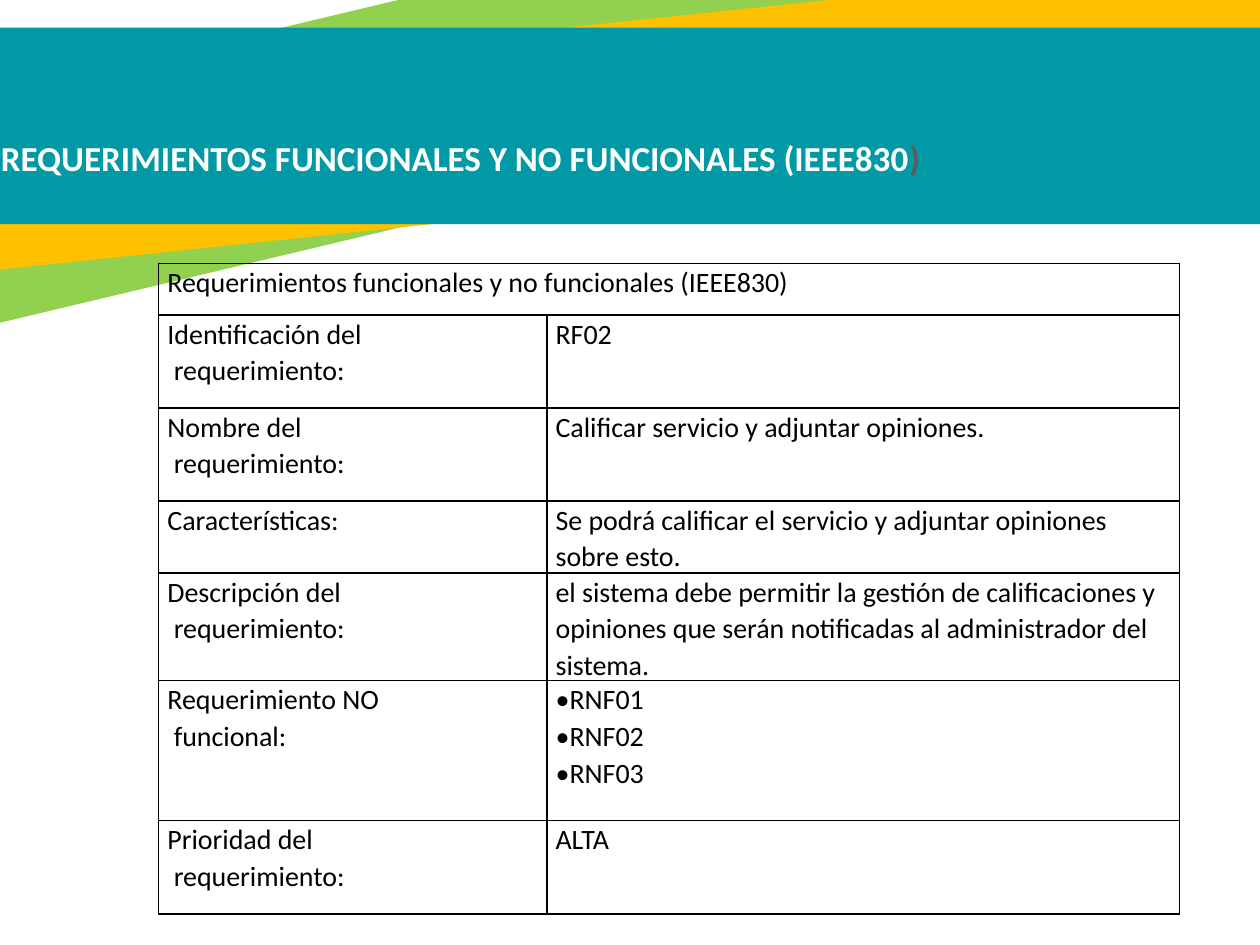
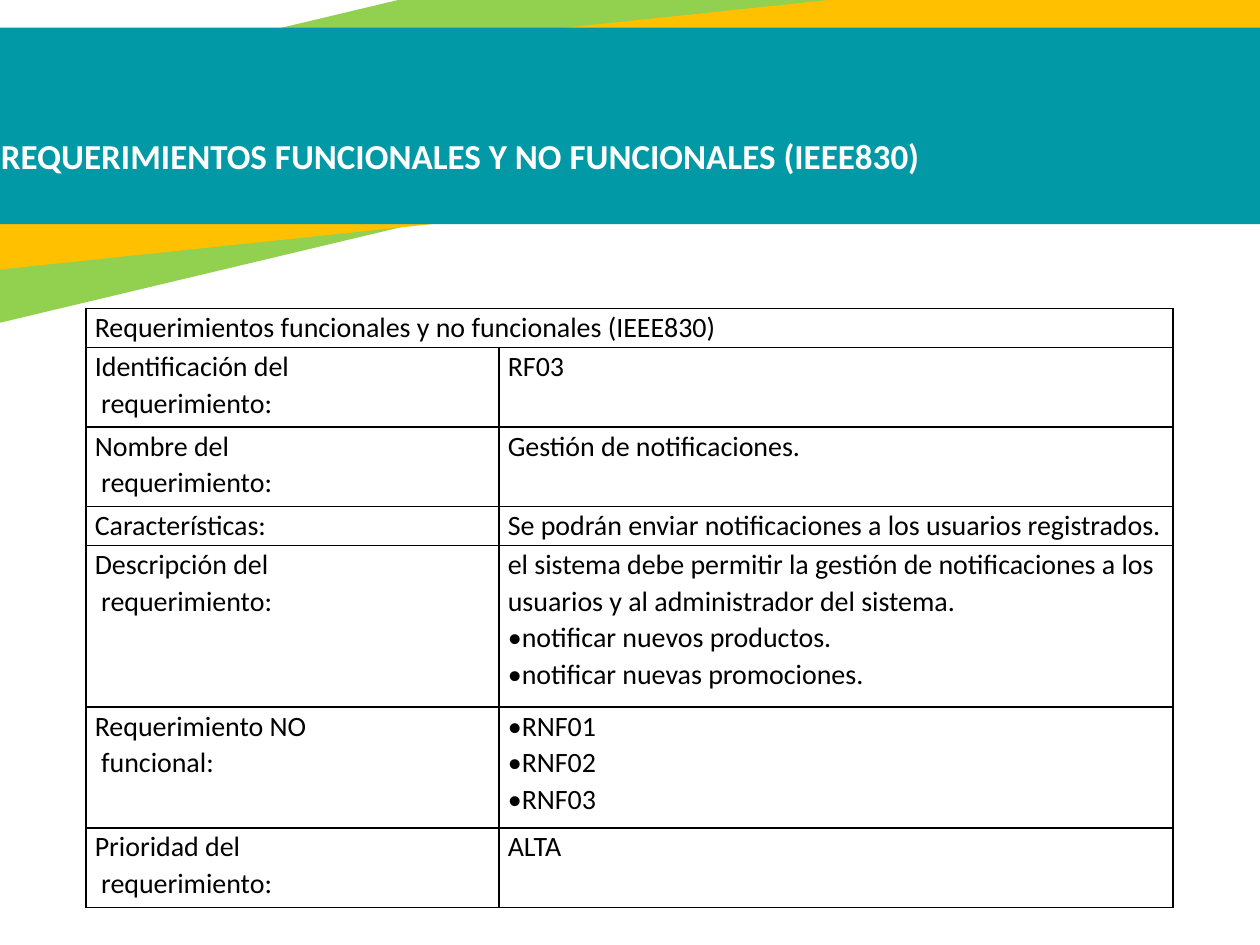
from lxml.etree import SubElement
from pptx import Presentation
from pptx.dml.color import RGBColor
from pptx.enum.shapes import MSO_SHAPE as Shape
from pptx.oxml.ns import qn
from pptx.util import Pt

TEAL, GREEN, AMBER = "0099A5", "92D050", "FFC000"
WHITE, BLACK, GREY = "FFFFFF", "000000", "5E5C5D"
TITLE_FORMAT = {"name": "Calibri", "size": Pt(20), "bold": True}
CELL_FORMAT = {"name": "Calibri", "size": Pt(16), "bold": False}
CELL_MARGINS = {"margin_left": Pt(5), "margin_right": Pt(5),
                "margin_top": 0, "margin_bottom": 0}
BULLET = "•"
BULLET_INDENT = Pt(8)

# left, top, width, height, rotation, colour
BANDS = [
    (-180.7, -13, 940.3, 126.7, 346.6, GREEN),
    (-79.2, 14.4, 837.4, 103.7, 354, AMBER),
    (-76.3, 15.8, 837.4, 112.3, 0, TEAL),
]

TITLE = "REQUERIMIENTOS FUNCIONALES Y NO FUNCIONALES (IEEE830"
TABLE_HEADING = "Requerimientos funcionales y no funcionales (IEEE830)"
LABELS = [
    ["Identificación del", " requerimiento:"],
    ["Nombre del", " requerimiento:"],
    ["Características:"],
    ["Descripción del", " requerimiento:"],
    ["Requerimiento NO", " funcional:"],
    ["Prioridad del", " requerimiento:"],
]
NON_FUNCTIONAL = ["•RNF01", "•RNF02", "•RNF03"]

REQUIREMENTS = [
    {
        "title_top": 74.2,
        "bracket_color": GREY,
        "table_at": (90.7, 150.5),
        "columns": (221.8, 361.4),
        "rows": (29.5, 53.2, 53.2, 26, 53.2, 80, 53.2),
        "values": [
            ["RF02"],
            ["Calificar servicio y adjuntar opiniones."],
            ["Se podrá calificar el servicio y adjuntar opiniones sobre esto."],
            ["el sistema debe permitir la gestión de calificaciones y opiniones "
             "que serán notificadas al administrador del sistema."],
            NON_FUNCTIONAL,
            ["ALTA"],
        ],
    },
    {
        "title_top": 73.2,
        "bracket_color": WHITE,
        "table_at": (49.2, 176.2),
        "columns": (236, 385.2),
        "rows": (22.3, 45.5, 45.5, 22.3, 92.3, 69, 45.5),
        "values": [
            ["RF03"],
            ["Gestión de notificaciones."],
            ["Se podrán enviar notificaciones a los usuarios registrados."],
            ["el sistema debe permitir la gestión de notificaciones a los "
             "usuarios y al administrador del sistema.",
             "•notificar nuevos productos.",
             "•notificar nuevas promociones."],
            NON_FUNCTIONAL,
            ["ALTA"],
        ],
    },
]


def rgb(color):
    return RGBColor.from_string(color)


def set_attributes(target, values):
    for name, value in values.items():
        setattr(target, name, value)


def add_run(paragraph, text, font_format, color):
    run = paragraph.add_run()
    run.text = text
    set_attributes(run.font, font_format)
    run.font.color.rgb = rgb(color)


def add_bands(slide):
    for left, top, width, height, rotation, color in BANDS:
        band = slide.shapes.add_shape(
            Shape.RECTANGLE, Pt(left), Pt(top), Pt(width), Pt(height))
        band.rotation = rotation
        band.shadow.inherit = False
        band.fill.solid()
        band.fill.fore_color.rgb = rgb(color)
        band.line.fill.background()


def add_title(slide, top, bracket_color):
    title = slide.shapes.add_textbox(Pt(-6.5), Pt(top), Pt(583.2), Pt(31.7))
    title.text_frame.word_wrap = True
    paragraph = title.text_frame.paragraphs[0]
    add_run(paragraph, TITLE, TITLE_FORMAT, WHITE)
    add_run(paragraph, ")", TITLE_FORMAT, bracket_color)


def add_bullet(paragraph):
    properties = paragraph._p.get_or_add_pPr()
    properties.set("marL", str(BULLET_INDENT))
    properties.set("indent", str(-BULLET_INDENT))
    SubElement(properties, qn("a:buFont"), typeface="Calibri")
    SubElement(properties, qn("a:buChar"), char=BULLET)


def format_cell(cell):
    """Give the cell its margins, thin black borders and no fill."""
    set_attributes(cell, CELL_MARGINS)
    properties = cell._tc.get_or_add_tcPr()
    for side in ("a:lnL", "a:lnR", "a:lnT", "a:lnB"):
        line = SubElement(properties, qn(side), w=str(Pt(1)))
        fill = SubElement(line, qn("a:solidFill"))
        SubElement(fill, qn("a:srgbClr"), val=BLACK)
    cell.fill.background()


def write_cell(cell, lines):
    """Write one paragraph a line; a leading bullet sign makes a list item."""
    frame = cell.text_frame
    for index, line in enumerate(lines):
        paragraph = frame.add_paragraph() if index else frame.paragraphs[0]
        paragraph.line_spacing = 1.07
        if line.startswith(BULLET):
            add_bullet(paragraph)
        add_run(paragraph, line.removeprefix(BULLET), CELL_FORMAT, BLACK)


def add_requirement_table(slide, position, columns, rows, values):
    left, top = position
    table = slide.shapes.add_table(
        len(rows), len(columns), Pt(left), Pt(top),
        Pt(sum(columns)), Pt(sum(rows))).table
    set_attributes(table, {"first_row": False, "horz_banding": False})
    for column, width in zip(table.columns, columns):
        column.width = Pt(width)
    for row, height in zip(table.rows, rows):
        row.height = Pt(height)
        for cell in row.cells:
            format_cell(cell)

    heading = table.cell(0, 0)
    heading.merge(table.cell(0, 1))
    write_cell(heading, [TABLE_HEADING])
    for index, (label, value) in enumerate(zip(LABELS, values), start=1):
        write_cell(table.cell(index, 0), label)
        write_cell(table.cell(index, 1), value)


def main():
    presentation = Presentation()
    presentation.slide_width, presentation.slide_height = Pt(720), Pt(540)
    blank_layout = presentation.slide_layouts[6]
    for requirement in REQUIREMENTS:
        slide = presentation.slides.add_slide(blank_layout)
        add_bands(slide)
        add_title(slide, requirement["title_top"], requirement["bracket_color"])
        add_requirement_table(
            slide, requirement["table_at"], requirement["columns"],
            requirement["rows"], requirement["values"])
    presentation.save("out.pptx")


if __name__ == "__main__":
    main()
